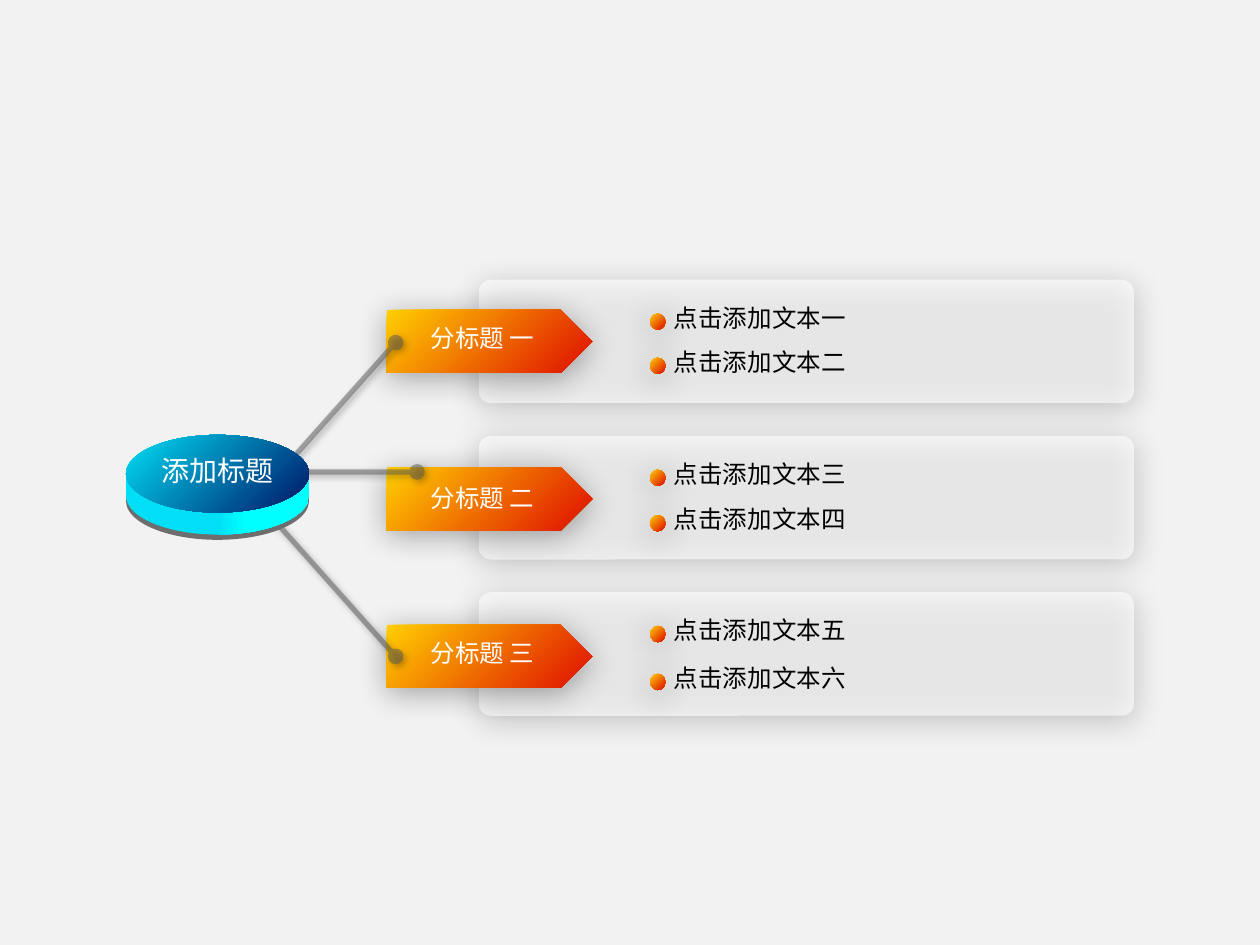
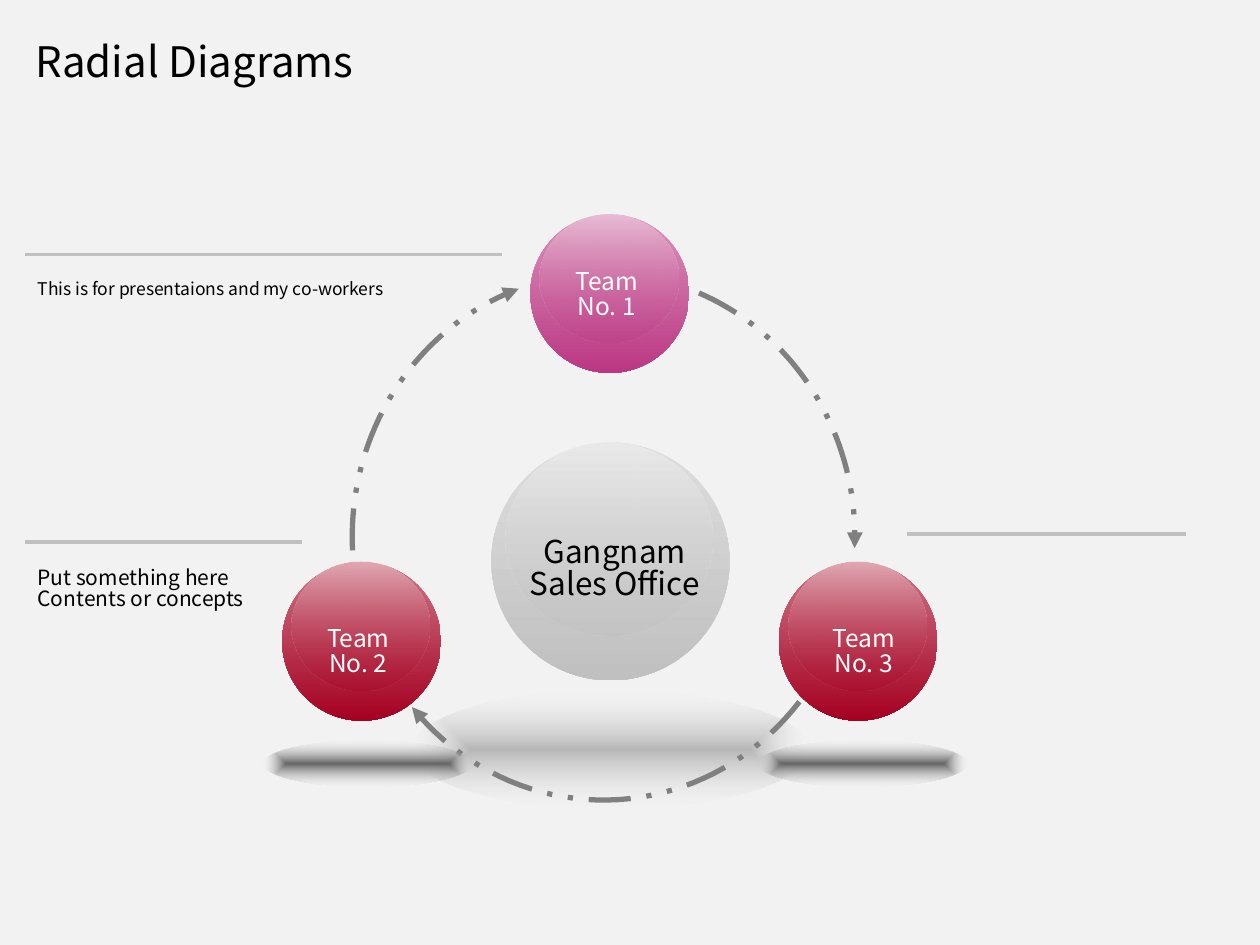
from math import cos, radians, sin

from lxml import etree
from pptx import Presentation
from pptx.dml.color import RGBColor
from pptx.enum.dml import MSO_LINE
from pptx.enum.shapes import MSO_CONNECTOR, MSO_SHAPE
from pptx.enum.text import MSO_AUTO_SIZE, PP_ALIGN
from pptx.oxml import parse_xml
from pptx.oxml.ns import nsdecls, qn
from pptx.util import Pt

ELLIPSE = MSO_SHAPE.OVAL
RECTANGLE = MSO_SHAPE.RECTANGLE
ROUNDED = MSO_SHAPE.ROUNDED_RECTANGLE
PENTAGON = MSO_SHAPE.PENTAGON
STRAIGHT = MSO_CONNECTOR.STRAIGHT
DASH_DOT_DOT = MSO_LINE.DASH_DOT_DOT
LEFT, CENTER = PP_ALIGN.LEFT, PP_ALIGN.CENTER
GROW, FIXED = MSO_AUTO_SIZE.SHAPE_TO_FIT_TEXT, MSO_AUTO_SIZE.NONE

BACKGROUND, WHITE, BLACK = "F2F2F2", "FFFFFF", "000000"
SILVER, GRAY, DARK_GRAY = "C0C0C0", "808080", "595959"
CHINESE, KOREAN = "Noto Sans CJK SC", "Noto Sans CJK KR"
FIRE = [(0, "FFCF01"), (90, "E22000")]
OCEAN = [(0, "00DFF6"), (90, "002774")]
RIM = [(0, "00DFF6"), (50, "00DFF6"), (65, "00FFFF"), (100, "00FFFF")]
SOFT_SHADOW = (33, 17.8, 3, 87)
LINE_SHADOW = (50, 4, 2, 45)


def color(text):
    return RGBColor.from_string(text)


def fade(holder, percent):
    """Make every colour inside an XML element partly transparent."""
    for tint in holder.iter(qn("a:srgbClr")):
        etree.SubElement(tint, qn("a:alpha"), val=str(percent * 1000))


class Painter:
    """Holds the deck style and the slide being drawn."""

    def __init__(self):
        self.deck = Presentation()
        self.deck.slide_width, self.deck.slide_height = Pt(720), Pt(540)
        fill = self.deck.slide_master.background.fill
        fill.solid()
        fill.fore_color.rgb = color(BACKGROUND)
        self.page = None
        self.font = None
        self.spacing = 1

    def new_page(self, font, spacing):
        self.page = self.deck.slides.add_slide(self.deck.slide_layouts[6])
        self.font, self.spacing = font, spacing

    def shape(self, kind, left, top, width, height, fill=None, shadow=None):
        shape = self.page.shapes.add_shape(
            kind, Pt(left), Pt(top), Pt(width), Pt(height))
        shape.line.fill.background()
        shape.shadow.inherit = False
        if fill:
            shape.fill.solid()
            shape.fill.fore_color.rgb = color(fill)
        if shadow:
            self.cast_shadow(shape, shadow)
        return shape

    def gradient(self, kind, left, top, width, height, stops, angle=None,
                 shadow=None):
        """Draw a shape with (position, colour[, alpha]) stops; no angle means
        that the gradient runs from the centre to the edge."""
        shape = self.shape(kind, left, top, width, height, shadow=shadow)
        shape.fill.gradient()
        holder = shape._element.spPr.find(qn("a:gradFill"))
        for child in list(holder):
            holder.remove(child)
        stop_list = etree.SubElement(holder, qn("a:gsLst"))
        for position, tint, *alpha in stops:
            stop = etree.SubElement(stop_list, qn("a:gs"),
                                    pos=str(position * 1000))
            etree.SubElement(stop, qn("a:srgbClr"), val=tint)
            if alpha:
                fade(stop, alpha[0])
        if angle is None:
            holder.append(parse_xml(
                f'<a:path {nsdecls("a")} path="shape"><a:fillToRect '
                'l="50000" t="50000" r="50000" b="50000"/></a:path>'))
        else:
            etree.SubElement(holder, qn("a:lin"), ang=str(angle * 60000),
                             scaled="0")
        return shape

    def cast_shadow(self, shape, style):
        """Add an outer shadow given as (alpha, blur, distance, direction)."""
        alpha, blur, distance, direction = style
        effects = shape._element.spPr.find(qn("a:effectLst"))
        outer = etree.SubElement(
            effects, qn("a:outerShdw"), blurRad=str(Pt(blur)),
            dist=str(Pt(distance)), dir=str(direction * 60000),
            algn="ctr", rotWithShape="0")
        etree.SubElement(outer, qn("a:srgbClr"), val=BLACK)
        fade(outer, alpha)

    def line(self, start, end, tint, width):
        line = self.page.shapes.add_connector(
            STRAIGHT, *(Pt(value) for value in (*start, *end)))
        line.line.color.rgb = color(tint)
        line.line.width = Pt(width)
        etree.SubElement(line._element.spPr, qn("a:effectLst"))
        return line

    def spoke(self, start, end):
        """Draw a translucent line with a round knob at both ends."""
        spoke = self.line(start, end, DARK_GRAY, 3)
        outline = spoke._element.spPr.find(qn("a:ln"))
        fade(outline, 50)
        for end_name in ("a:headEnd", "a:tailEnd"):
            etree.SubElement(outline, qn(end_name), type="oval")
        self.cast_shadow(spoke, LINE_SHADOW)

    def arc_arrow(self, center, radii, first, last, steps=40):
        """Draw a dashed arrow along an ellipse, clockwise in degrees."""
        points = []
        for step in range(steps + 1):
            angle = radians(first + (last - first) * step / steps)
            points.append((Pt(center[0] + radii[0] * cos(angle)),
                           Pt(center[1] + radii[1] * sin(angle))))
        builder = self.page.shapes.build_freeform(*points[0])
        builder.add_line_segments(points[1:], close=False)
        arrow = builder.convert_to_shape()
        arrow.fill.background()
        arrow.shadow.inherit = False
        arrow.line.color.rgb = color(GRAY)
        arrow.line.width = Pt(3)
        arrow.line.dash_style = DASH_DOT_DOT
        outline = arrow._element.spPr.find(qn("a:ln"))
        etree.SubElement(outline, qn("a:tailEnd"), type="triangle")

    def ball(self, left, top, size, body, gloss):
        self.gradient(ELLIPSE, left, top, size, size, body, 90)
        self.gradient(ELLIPSE, left + size * 0.06, top, size * 0.87,
                      size * 0.81, gloss, 90)

    def text(self, left, top, width, height, lines, size, tint=BLACK,
             align=CENTER, wrap=False, spacing=None):
        box = self.page.shapes.add_textbox(
            Pt(left), Pt(top), Pt(width), Pt(height))
        frame = box.text_frame
        frame.word_wrap = wrap
        frame.auto_size = GROW if wrap else FIXED
        for index, words in enumerate(lines):
            para = frame.add_paragraph() if index else frame.paragraphs[0]
            para.alignment = align
            para.line_spacing = spacing or self.spacing
            span = para.add_run()
            span.text = words
            span.font.size = Pt(size)
            span.font.color.rgb = color(tint)
            span.font.name = self.font
            etree.SubElement(span.font._element, qn("a:ea"),
                             typeface=self.font)


def draw_branches(painter):
    painter.new_page(CHINESE, 0.9)
    branches = [
        ("分标题 一", 182.9, [("点击添加文本一", 171.4), ("点击添加文本二", 196.6)]),
        ("分标题 二", 274.3, [("点击添加文本三", 260.6), ("点击添加文本四", 286.6)]),
        ("分标题 三", 362.9, [("点击添加文本五", 349.9), ("点击添加文本六", 377.3)]),
    ]
    for row in reversed(range(len(branches))):
        panel = painter.shape(ROUNDED, 273.6, 159.8 + 89.3 * row, 374.4, 70.6,
                              WHITE, SOFT_SHADOW)
        panel.adjustments[0] = 0.1
        fade(panel._element.spPr.find(qn("a:solidFill")), 60)
    for row, (label, label_top, items) in enumerate(branches):
        painter.gradient(PENTAGON, 221, 177.1 + 90 * row, 117.4, 36, FIRE, 45,
                         SOFT_SHADOW)
        painter.text(226.8, label_top, 97.9, 24.5, [label], 14, WHITE,
                     wrap=True)
        for item, top in items:
            painter.gradient(ELLIPSE, 371.5, top + 7.8, 8.8, 9.2, FIRE, 45,
                             SOFT_SHADOW)
            painter.text(378, top, 169.2, 24.5, [item], 14, align=LEFT,
                         wrap=True)

    painter.spoke((155.5, 275), (226.1, 195.8))
    painter.spoke((167, 269.7), (238.3, 269.7))
    painter.spoke((155.5, 295.9), (226.1, 375.1))

    left, top, width, height, depth = 72, 248.5, 104.6, 44.4, 12.6
    painter.shape(ELLIPSE, left, top + depth + 3, width, height, "6E6E6E")
    painter.gradient(ELLIPSE, left, top + depth, width, height, RIM, 0)
    painter.gradient(RECTANGLE, left, top + height / 2, width, depth, RIM, 0)
    painter.gradient(ELLIPSE, left, top, width, height, OCEAN, 45)
    painter.text(69.1, 257.8, 110.2, 26.6, ["添加标题"], 16, WHITE, wrap=True)


def draw_radial(painter):
    painter.new_page(KOREAN, 0.85)
    pink = ([(0, "DA93BC"), (100, "BB3783")],
            [(0, "E8BCD5"), (100, "BB3783", 20)])
    red = ([(0, "CE7587"), (100, "A50021")],
           [(0, "E1A9B4"), (100, "A50021", 20)])
    silver = ([(0, "DDDDDD"), (100, SILVER)],
              [(0, "EAEAEA"), (100, SILVER, 20)])
    # name, ball left and top, style, text left and top
    teams = [("No. 1", 303.1, 122.4, pink, 326.2, 151.2),
             ("No. 2", 161.3, 321.1, red, 184.3, 355),
             ("No. 3", 445, 321.1, red, 473, 355)]

    painter.gradient(ELLIPSE, 235.4, 394.6, 226.8, 67.7,
                     [(0, "6C6C6C", 44), (100, "EAEAEA", 0)])
    for _, left, top, style, *_ in teams:
        painter.ball(left, top, 90.7, *style)
    painter.ball(280.8, 252.7, 136.1, *silver)
    for first, last in [(177, 250.3), (292.3, 362.5), (38.8, 139.7)]:
        painter.arc_arrow((344.9, 306.7), (143.6, 150.5), first, last)
    for left in (150.5, 433.4):
        painter.gradient(ELLIPSE, left, 423.4, 118.8, 25.9,
                         [(0, "666666"), (100, "DDDDDD", 0)])

    painter.text(19.4, 20.2, 183.6, 23.8, ["Radial Diagrams"], 24, spacing=0.9)
    painter.text(292.3, 303.8, 118.1, 36, ["Gangnam", "Sales Office"], 18)
    for start, end, height in [(518.4, 677.5, 305.3), (14.4, 172.8, 309.6),
                               (14.4, 286.6, 145.4)]:
        painter.line((start, height), (end, height), SILVER, 2)
    painter.text(14.4, 321.1, 141.1, 23.8,
                 ["Put something here", "Contents or concepts"], 12,
                 align=LEFT)
    painter.text(14.4, 157, 231.8, 10.1,
                 ["This is for presentaions and my co-workers"], 10,
                 align=LEFT)
    for name, _, _, _, left, top in teams:
        painter.text(left, top, 41, 28.8, ["Team", name], 14, WHITE)


def main():
    painter = Painter()
    draw_branches(painter)
    draw_radial(painter)
    painter.deck.save("out.pptx")


if __name__ == "__main__":
    main()
